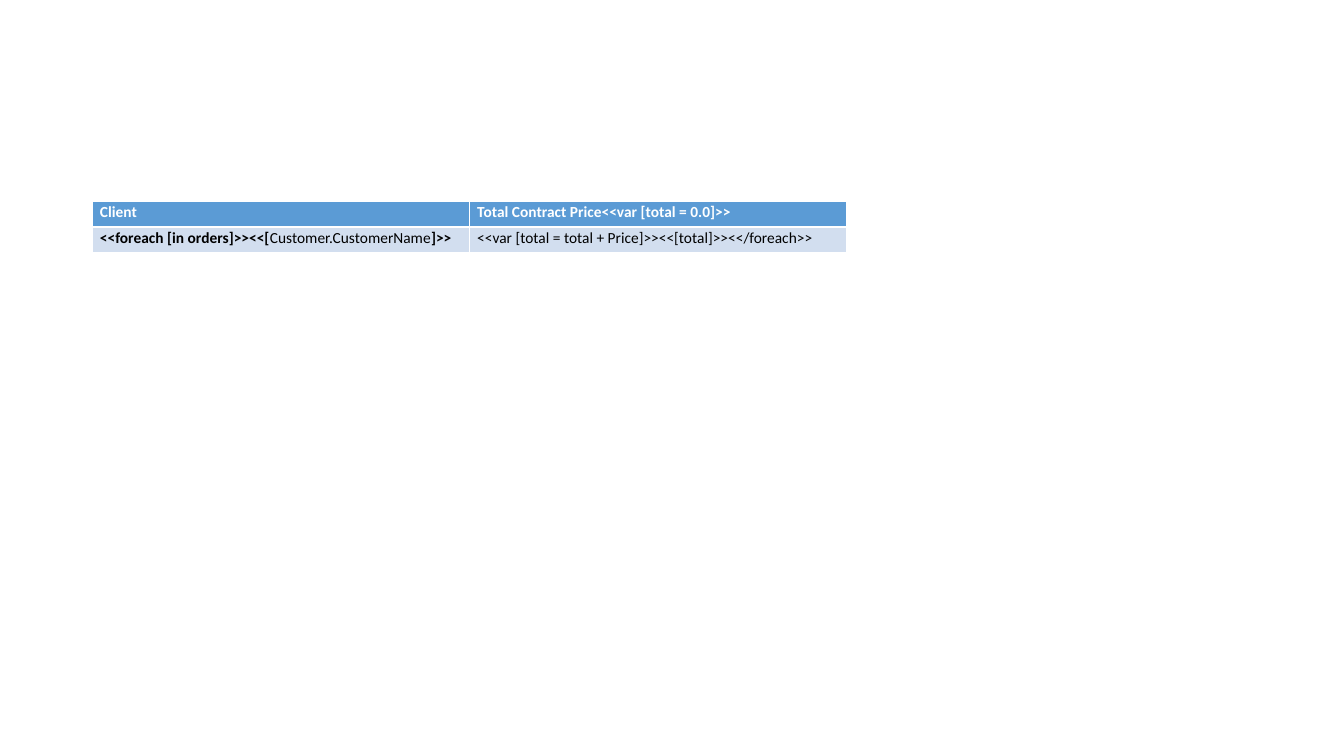
"""Build a slide with a contract price template table."""
from pptx import Presentation
from pptx.dml.color import RGBColor
from pptx.util import Pt

COLORS = {"header": "5B9BD5", "band": "D2DEEF", "white": "FFFFFF", "black": "000000"}
ROWS = [
    {
        "fill": "header",
        "text": "white",
        "cells": [
            [("Client", True)],
            [("Total Contract Price<<var [total = 0.0]>>", True)],
        ],
    },
    {
        "fill": "band",
        "text": "black",
        "cells": [
            [("<<foreach [in orders]>><<[", True), ("Customer.CustomerName", False), ("]>>", True)],
            [("<<var [total = total + Price]>><<[total]>><</foreach>>", False)],
        ],
    },
]
CELL_FORMAT = {
    "margin_left": Pt(5.4),
    "margin_right": Pt(5.4),
    "margin_top": Pt(0),
    "margin_bottom": Pt(0),
}

deck = Presentation()
deck.slide_width, deck.slide_height = Pt(960), Pt(540)
page = deck.slides.add_slide(deck.slide_layouts[6])

frame = page.shapes.add_table(len(ROWS), 2, Pt(66), Pt(144), Pt(539), Pt(36.4))
table = frame.table

for row_index, row in enumerate(ROWS):
    for column_index, spans in enumerate(row["cells"]):
        cell = table.cell(row_index, column_index)
        for name, value in CELL_FORMAT.items():
            setattr(cell, name, value)
        cell.fill.solid()
        cell.fill.fore_color.rgb = RGBColor.from_string(COLORS[row["fill"]])
        para = cell.text_frame.paragraphs[0]
        para.line_spacing = 1.07
        for text, bold in spans:
            span = para.add_run()
            span.text = text
            for name, value in {"name": "Calibri", "size": Pt(11), "bold": bold}.items():
                setattr(span.font, name, value)
            span.font.color.rgb = RGBColor.from_string(COLORS[row["text"]])

deck.save("out.pptx")
